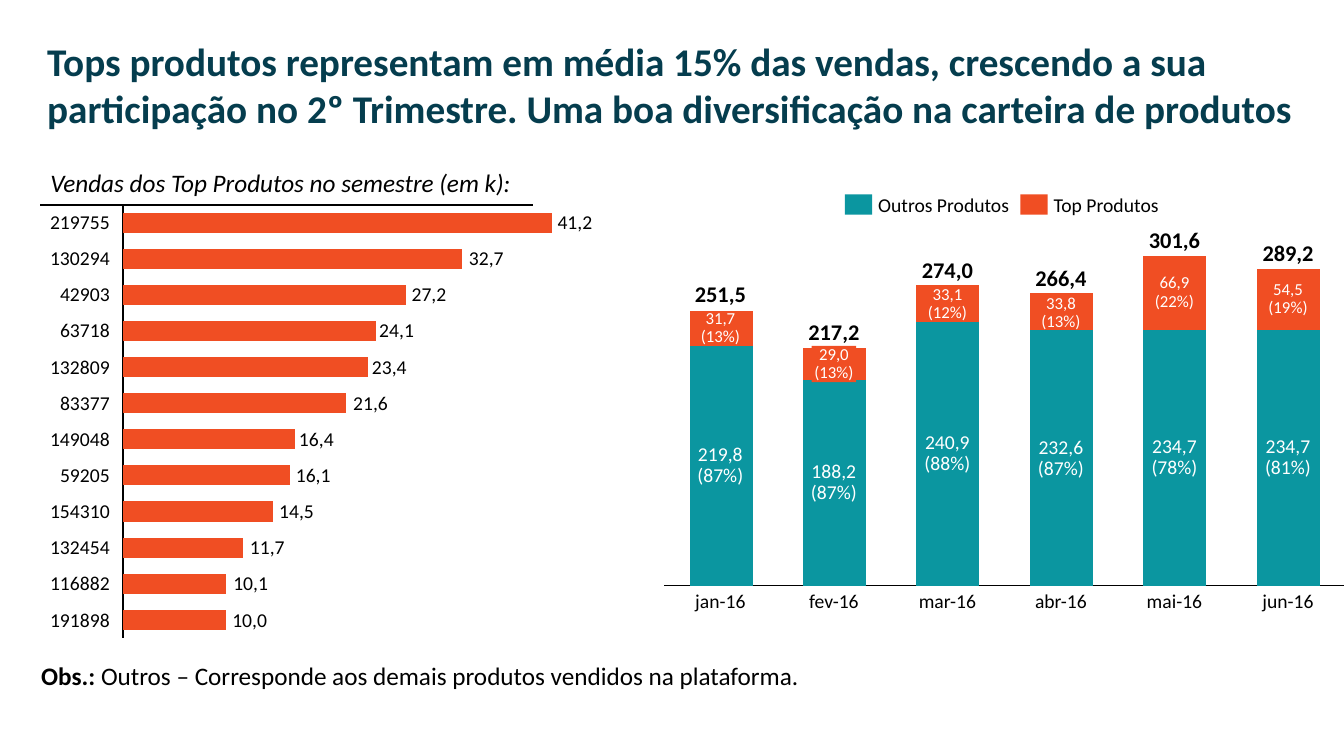
"""Build the slide on the share of top products in monthly sales."""
import dataclasses
import typing

import lxml.etree
import pptx
import pptx.chart.data
import pptx.dml.color
import pptx.enum.chart
import pptx.enum.shapes
import pptx.enum.text
import pptx.oxml
import pptx.oxml.ns
import pptx.util

PX = 9144
PLOT_INSET = 9
ALIGN = pptx.enum.text.PP_ALIGN
ANCHOR = pptx.enum.text.MSO_ANCHOR
FIT = pptx.enum.text.MSO_AUTO_SIZE
CHART = pptx.enum.chart.XL_CHART_TYPE


@dataclasses.dataclass(frozen=True)
class Theme:
    font: str = "Calibri"
    ink: str = "000000"
    white: str = "FFFFFF"
    navy: str = "053D4E"
    teal: str = "0B96A0"
    orange: str = "F04E23"
    title: int = 28
    note: int = 18
    total: int = 16
    label: int = 14
    small: int = 12
    chart: int = 10


THEME = Theme()


class Product(typing.NamedTuple):
    code: str
    sold: float
    index: int


class Month(typing.NamedTuple):
    name: str
    others: float
    top: float


class Area(typing.NamedTuple):
    left: float
    top: float
    width: float
    height: float

    def emu(self) -> list[int]:
        return [round(side * PX) for side in self]


class Style(typing.NamedTuple):
    size: int = THEME.label
    color: str = THEME.ink
    bold: bool = False
    italic: bool = False
    align: ALIGN = ALIGN.LEFT
    anchor: ANCHOR = ANCHOR.MIDDLE
    inset: int = 0


PRODUCTS = [
    Product("219755", 41.2, 100), Product("130294", 32.7, 79), Product("42903", 27.2, 66),
    Product("63718", 24.1, 59), Product("132809", 23.4, 57), Product("83377", 21.6, 52),
    Product("149048", 16.4, 40), Product("59205", 16.1, 39), Product("154310", 14.5, 35),
    Product("132454", 11.7, 28), Product("116882", 10.1, 24), Product("191898", 10.0, 24),
]
MONTHS = [
    Month("jan-16", 219.8, 31.7), Month("fev-16", 188.2, 29.0), Month("mar-16", 240.9, 33.1),
    Month("abr-16", 232.6, 33.8), Month("mai-16", 234.7, 66.9), Month("jun-16", 234.7, 54.5),
]


def rgb(color: str) -> pptx.dml.color.RGBColor:
    return pptx.dml.color.RGBColor.from_string(color)


def decimal(value: float) -> str:
    return f"{value:.1f}".replace(".", ",")


def style_span(span, style: Style) -> None:
    span.font.name = THEME.font
    span.font.size = pptx.util.Pt(style.size)
    span.font.bold = style.bold
    span.font.italic = style.italic
    span.font.color.rgb = rgb(style.color)


def add_heading(page, area: Area, text: str, style: Style, wrap: bool = True):
    box = page.shapes.add_textbox(*area.emu())
    frame = box.text_frame
    frame.word_wrap = wrap
    frame.auto_size = FIT.SHAPE_TO_FIT_TEXT
    frame.text = text
    style_span(frame.paragraphs[0].runs[0], style)
    return frame.paragraphs[0]


def add_block(page, area: Area, color: str):
    block = page.shapes.add_shape(pptx.enum.shapes.MSO_SHAPE.RECTANGLE, *area.emu())
    block.shadow.inherit = False
    block.fill.solid()
    block.fill.fore_color.rgb = rgb(color)
    block.line.fill.background()
    return block


def add_label(page, area: Area, text: str, style: Style, fill: str | None = None) -> None:
    box = add_block(page, area, fill) if fill else page.shapes.add_textbox(*area.emu())
    frame = box.text_frame
    frame.word_wrap = False
    frame.auto_size = FIT.NONE
    frame.vertical_anchor = style.anchor
    frame.margin_left = frame.margin_right = style.inset * PX
    frame.margin_top = frame.margin_bottom = 0
    frame.text = text
    para = frame.paragraphs[0]
    para.alignment = style.align
    para.line_spacing = 0.9
    for span in para.runs:
        style_span(span, style)


def add_rule(page, left: int, right: int, top: int) -> None:
    rule = page.shapes.add_connector(
        pptx.enum.shapes.MSO_CONNECTOR.STRAIGHT, left * PX, top * PX, right * PX, top * PX)
    rule.line.color.rgb = rgb(THEME.ink)
    rule.line.width = pptx.util.Pt(1.5)
    lxml.etree.SubElement(rule._element.spPr, pptx.oxml.ns.qn("a:effectLst"))


def add_stacked(page, area: Area, kind: CHART, series: dict[str, list[int]], peak: int):
    data = pptx.chart.data.CategoryChartData()
    count = len(next(iter(series.values())))
    data.categories = [str(number) for number in range(1, count + 1)]
    for number, values in enumerate(series.values(), 1):
        data.add_series(f"Series {number}", values)
    chart = page.shapes.add_chart(kind, *area.emu(), data).chart
    chart.has_legend = chart.has_title = False
    chart.font.name = THEME.font
    chart.font.size = pptx.util.Pt(THEME.chart)
    chart.font.color.rgb = rgb(THEME.ink)
    plot = chart.plots[0]
    plot.gap_width, plot.overlap, plot.vary_by_categories = 80, 100, False
    for row, color in zip(plot.series, series):
        row.format.fill.solid()
        row.format.fill.fore_color.rgb = rgb(color)
    scale, names = chart.value_axis, chart.category_axis
    scale.minimum_scale, scale.maximum_scale = 0, peak
    scale.has_major_gridlines = scale.visible = False
    names.tick_label_position = pptx.enum.chart.XL_TICK_LABEL_POSITION.NONE
    names.major_tick_mark = names.minor_tick_mark = pptx.enum.chart.XL_TICK_MARK.NONE
    names.format.line.color.rgb = rgb(THEME.ink)
    names.format.line.width = pptx.util.Pt(0.75)
    across, down = PLOT_INSET / area.width, PLOT_INSET / area.height
    inner = (across, down, 1 - 2 * across, 1 - 2 * down)
    sides = "".join(f'<c:{tag} val="{value:.4f}"/>' for tag, value in zip("xywh", inner))
    layout = pptx.oxml.parse_xml(
        f'<c:layout {pptx.oxml.ns.nsdecls("c")}><c:manualLayout><c:layoutTarget val="inner"/>'
        f'<c:xMode val="edge"/><c:yMode val="edge"/>{sides}</c:manualLayout></c:layout>')
    holder = chart._chartSpace.chart.plotArea
    for old in holder.findall(pptx.oxml.ns.qn("c:layout")):
        holder.remove(old)
    holder.insert(0, layout)
    return chart


def draw_products(page) -> None:
    chart = add_stacked(page, Area(113, 194, 444, 448), CHART.BAR_STACKED,
                        {THEME.orange: [product.index for product in PRODUCTS]}, 100)
    chart.category_axis.reverse_order = True
    for row, product in enumerate(PRODUCTS):
        top = 211 + 35.84 * row
        bar = 426 * product.sold / PRODUCTS[0].sold
        add_label(page, Area(46, top, 63, 21), product.code, Style(align=ALIGN.RIGHT))
        add_label(page, Area(124 + bar, top, 44, 21), decimal(product.sold), Style(inset=3))


def draw_months(page) -> None:
    largest = max(month.others for month in MONTHS)
    add_stacked(page, Area(650, 245, 693, 345), CHART.COLUMN_STACKED,
                {THEME.teal: [round(100 * month.others / largest) for month in MONTHS],
                 THEME.orange: [round(100 * month.top / largest) for month in MONTHS]}, 125)
    base, unit = 581, 327 / 301.6
    center = Style(align=ALIGN.CENTER, inset=3)
    inside = center._replace(color=THEME.white)
    for column, month in enumerate(MONTHS):
        middle = 714.5 + 112.6 * column
        total = month.others + month.top
        others_top = base - month.others / 2 * unit - 21
        share_top = base - (month.others + month.top / 2) * unit - 18
        add_label(page, Area(middle - 28, others_top, 56, 42),
                  f"{decimal(month.others)}\v({month.others / total:.0%})", inside)
        add_label(page, Area(middle - 22, share_top, 44, 36),
                  f"{decimal(month.top)}\v({month.top / total:.0%})",
                  inside._replace(size=THEME.small, inset=2),
                  THEME.orange if month.name == "fev-16" else None)
        add_label(page, Area(middle - 30, base - total * unit - 27, 60, 24), decimal(total),
                  center._replace(size=THEME.total, bold=True, anchor=ANCHOR.BOTTOM))
        add_label(page, Area(middle - 32, 587, 64, 21), month.name,
                  center._replace(anchor=ANCHOR.TOP, inset=0))


def main() -> None:
    deck = pptx.Presentation()
    deck.slide_width, deck.slide_height = 1333 * PX, 750 * PX
    page = deck.slides.add_slide(deck.slide_layouts[6])
    add_heading(page, Area(40, 161, 499, 40), "Vendas dos Top Produtos no semestre (em k):",
                Style(THEME.note, italic=True))
    add_rule(page, 40, 529, 203)
    add_heading(page, Area(37, 32, 1260, 104),
                "Tops produtos representam em média 15% das vendas, crescendo a sua participação "
                "no 2º Trimestre. Uma boa diversificação na carteira de produtos",
                Style(THEME.title, THEME.navy, bold=True))
    note = add_heading(page, Area(31, 650, 774, 40), "Obs.: ", Style(THEME.note, bold=True), False)
    span = note.add_run()
    span.text = "Outros – Corresponde aos demais produtos vendidos na plataforma."
    style_span(span, Style(THEME.note))
    draw_products(page)
    draw_months(page)
    for left, name, width, color in ((838, "Outros Produtos", 136, THEME.teal),
                                     (1012, "Top Produtos", 110, THEME.orange)):
        add_block(page, Area(left, 193, 27, 20), color)
        add_label(page, Area(left + 33, 194, width, 21), name, Style())
    deck.save("out.pptx")


if __name__ == "__main__":
    main()
